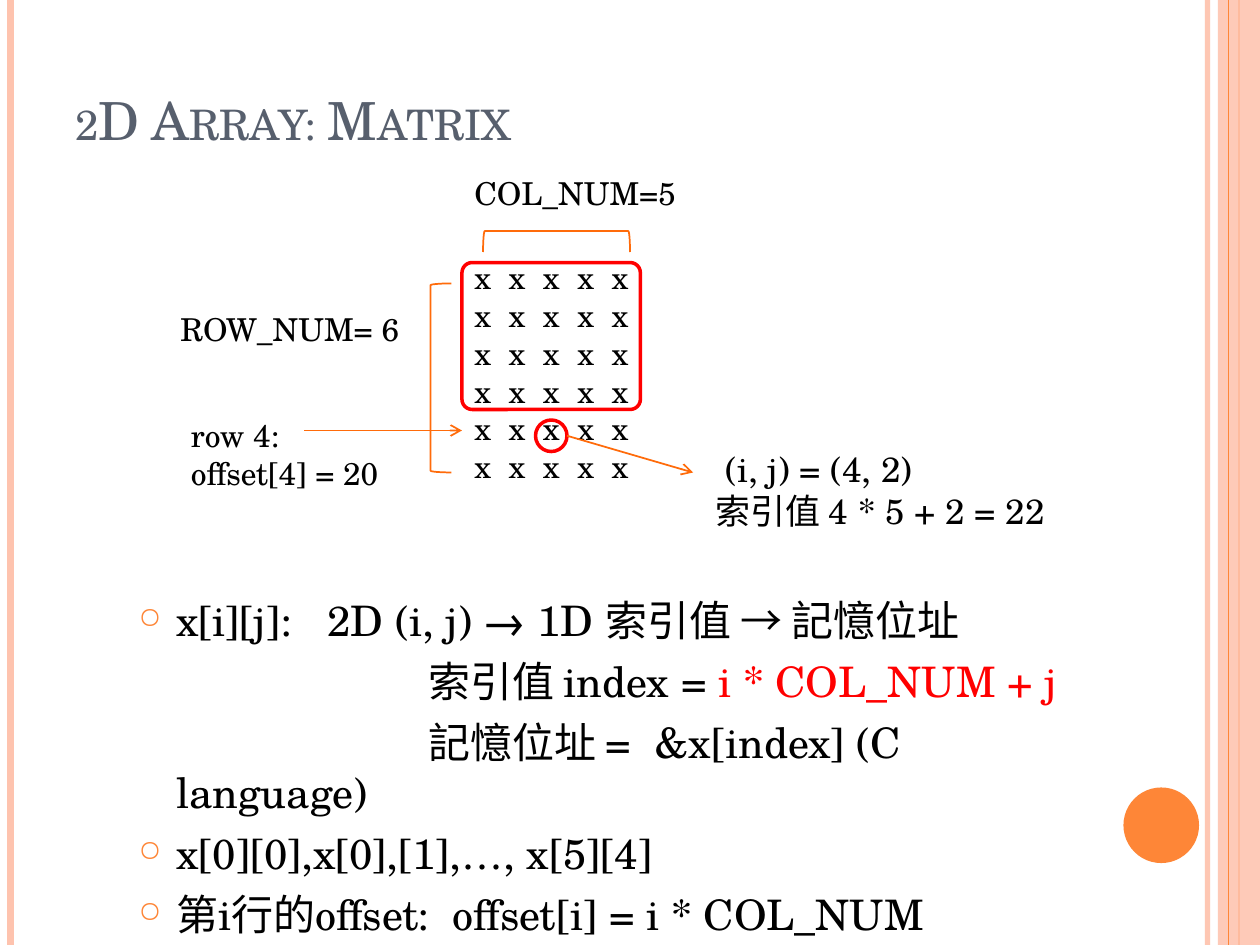
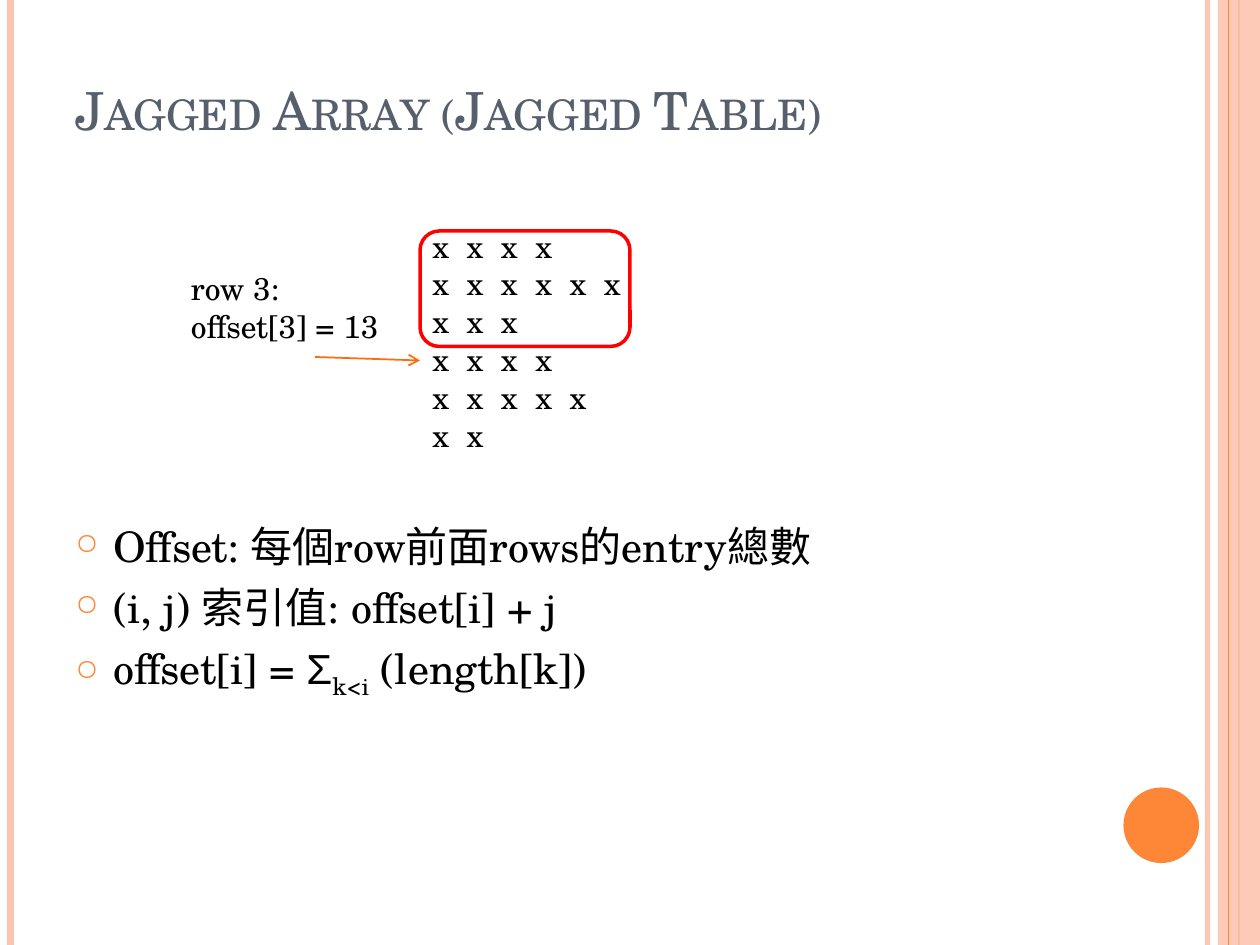
from pptx import Presentation
from pptx.dml.color import RGBColor
from pptx.enum.shapes import MSO_CONNECTOR, MSO_SHAPE
from pptx.enum.text import MSO_ANCHOR, PP_ALIGN
from pptx.oxml.ns import qn
from pptx.util import Pt
from lxml.etree import SubElement

FONT = "TeX Gyre Schola"
BLACK, RED, SLATE = "000000", "FF0000", "575F6D"
ORANGE, PEACH, DIAGRAM = "FE8637", "FEC3AE", "FF6B0A"
PAGE_WIDTH, PAGE_HEIGHT = 720, 540
HANGING = 21.6
COLUMN_PITCH = 19.6


def rgb(color):
    """Turn a hex string into a colour."""
    return RGBColor.from_string(color)


def set_opacity(fill_parent, percent):
    """Make the solid fill inside an XML element partly transparent."""
    color = fill_parent.find(qn("a:solidFill")).find(qn("a:srgbClr"))
    SubElement(color, qn("a:alpha"), val=str(percent * 1000))


def add_line(slide, start, end, color, width, opacity=100, arrow=False):
    """Draw a straight line, with an arrowhead at its end on request."""
    connector = slide.shapes.add_connector(
        MSO_CONNECTOR.STRAIGHT, *(Pt(value) for value in start + end))
    connector.line.color.rgb = rgb(color)
    connector.line.width = Pt(width)
    line = connector.line._get_or_add_ln()
    if opacity < 100:
        set_opacity(line, opacity)
    if arrow:
        SubElement(line, qn("a:tailEnd"), type="arrow")
    SubElement(connector._element.spPr, qn("a:effectLst"))


def add_filled(slide, kind, box, color, opacity=100):
    """Draw a filled shape without an outline."""
    shape = slide.shapes.add_shape(kind, *(Pt(value) for value in box))
    shape.shadow.inherit = False
    shape.fill.solid()
    shape.fill.fore_color.rgb = rgb(color)
    shape.line.fill.background()
    if opacity < 100:
        set_opacity(shape._element.spPr, opacity)


def add_outline(slide, kind, box, color, width):
    """Draw an unfilled shape and return it."""
    shape = slide.shapes.add_shape(kind, *(Pt(value) for value in box))
    shape.shadow.inherit = False
    shape.fill.background()
    shape.line.color.rgb = rgb(color)
    shape.line.width = Pt(width)
    return shape


def format_run(run, size, color=BLACK, font=FONT, baseline=0):
    """Set the font of a run; baseline is a percentage."""
    run.font.name = font
    run.font.size = Pt(size)
    run.font.color.rgb = rgb(color)
    if baseline:
        run._r.get_or_add_rPr().set("baseline", str(baseline * 1000))


def add_frame(slide, box):
    """Add a wrapping text box and return its text frame."""
    frame = slide.shapes.add_textbox(*(Pt(value) for value in box)).text_frame
    frame.word_wrap = True
    return frame


def add_label(slide, box, text, size=18):
    """Add plain text, one paragraph a line, and return its paragraphs."""
    frame = add_frame(slide, box)
    frame.text = text
    for paragraph in frame.paragraphs:
        paragraph.alignment = PP_ALIGN.LEFT
        for run in paragraph.runs:
            format_run(run, size)
    return frame.paragraphs


def add_matrix(slide, box, row_lengths):
    """Write rows of x in columns set by tab stops."""
    rows = "\n".join("\t".join("x" * length) for length in row_lengths)
    for paragraph, length in zip(add_label(slide, box, rows), row_lengths):
        stops = SubElement(paragraph._p.get_or_add_pPr(), qn("a:tabLst"))
        for column in range(1, length):
            SubElement(stops, qn("a:tab"), algn="l",
                       pos=str(Pt(COLUMN_PITCH * column)))


def add_title(slide, bottom, text):
    """Add the small-caps title that stands on the given bottom edge."""
    top = 21.6
    frame = add_frame(slide, (36, top, 588, bottom - top))
    frame.vertical_anchor = MSO_ANCHOR.BOTTOM
    frame.text = text
    run = frame.paragraphs[0].runs[0]
    format_run(run, 30, SLATE)
    run._r.get_or_add_rPr().set("cap", "small")


def add_bullet(properties):
    """Give paragraph properties the round orange bullet."""
    color = SubElement(properties, qn("a:buClr"))
    SubElement(color, qn("a:srgbClr"), val=ORANGE)
    SubElement(properties, qn("a:buSzPct"), val="70000")
    SubElement(properties, qn("a:buChar"), char="○")


def add_body(slide, box, items):
    """Add body paragraphs, each a first-line indent and its runs."""
    frame = add_frame(slide, box)
    for number, (indent, runs) in enumerate(items):
        paragraph = frame.add_paragraph() if number else frame.paragraphs[0]
        paragraph.space_before = Pt(6)
        properties = paragraph._p.get_or_add_pPr()
        properties.set("marL", str(Pt(HANGING)))
        properties.set("indent", str(Pt(indent)))
        if indent < 0:
            add_bullet(properties)
        for text, style in runs:
            run = paragraph.add_run()
            run.text = text
            format_run(run, 24, **style)


def bullet(*runs):
    """Describe a bulleted paragraph."""
    return -HANGING, runs


def continuation(*runs):
    """Describe an unbulleted paragraph whose first line is set in."""
    return 144, runs


def add_slide(presentation):
    """Add a blank slide with the side bands and the disc."""
    slide = presentation.slides.add_slide(presentation.slide_layouts[6])

    def side_line(x, color, width, opacity=100):
        add_line(slide, (x, 0), (x, PAGE_HEIGHT), color, width, opacity)

    side_line(690, PEACH, 3, 93)
    side_line(6, PEACH, 4.5)
    side_line(708, ORANGE, 1.5)
    add_filled(slide, MSO_SHAPE.RECTANGLE, (696, 0, 24, PAGE_HEIGHT), PEACH, 87)
    side_line(702, ORANGE, 0.75)
    add_filled(slide, MSO_SHAPE.OVAL, (642, 450, 43.2, 43.2), ORANGE)
    return slide


def add_matrix_slide(presentation):
    """Build the slide on the rectangular array."""
    slide = add_slide(presentation)
    add_title(slide, 90, "2D Array: Matrix")
    add_body(slide, (72, 336, 552, 173.5), [
        bullet(("x[i][j]: \t2D (i, j) → 1D 索引值 → 記憶位址", {})),
        continuation(("索引值 index = ", {}),
                     ("i * COL_NUM + j", {"color": RED})),
        continuation(("記憶位址 =  &x[index] (C language)", {})),
        bullet(("x[0][0],x[0],[1],…, x[5][4]", {})),
        bullet(("第i行的offset:  offset[i] = i * COL_NUM", {})),
    ])
    add_matrix(slide, (264, 144, 156, 160), [5] * 6)
    add_outline(slide, MSO_SHAPE.LEFT_BRACKET, (246, 162, 12, 108), DIAGRAM, 1)
    add_label(slide, (96, 173.5, 162, 29), "ROW_NUM= 6")
    add_outline(slide, MSO_SHAPE.OVAL, (306, 240, 18, 18), RED, 2)
    add_line(slide, (324, 249), (396, 270), DIAGRAM, 1, arrow=True)
    column_bracket = add_outline(
        slide, MSO_SHAPE.LEFT_BRACKET, (312, 96, 12, 84), DIAGRAM, 1)
    column_bracket.rotation = 90
    add_label(slide, (264, 96, 132, 29), "COL_NUM=5")
    add_label(slide, (402, 252, 204, 55.5),
              " (i, j) = (4, 2)\n索引值 4 * 5 + 2 = 22", 20)
    rows_before = add_outline(
        slide, MSO_SHAPE.ROUNDED_RECTANGLE, (264, 150, 102, 84), RED, 2)
    rows_before.adjustments[0] = 0.07
    add_line(slide, (174, 246), (264, 246), DIAGRAM, 1, arrow=True)
    add_label(slide, (102, 234, 138, 51), "row 4:\noffset[4] = 20")


def add_jagged_slide(presentation):
    """Build the slide on the jagged array."""
    slide = add_slide(presentation)
    add_outline(
        slide, MSO_SHAPE.ROUNDED_RECTANGLE, (240, 132, 120, 66), RED, 2)
    add_title(slide, 84.2, "Jagged Array (Jagged Table)")
    add_body(slide, (36, 294, 588, 216), [
        bullet(("Offset: 每個row前面rows的entry總數", {})),
        bullet(("(i, j) 索引值: offset[i] + j", {})),
        bullet(("offset[i] = ", {}), ("Σ", {"font": "Arial"}),
               ("k<i", {"baseline": -25}), (" (length[k])", {})),
    ])
    add_matrix(slide, (240, 126, 186, 160), [4, 6, 3, 4, 5, 2])
    add_line(slide, (180, 204), (240, 206), DIAGRAM, 1, arrow=True)
    add_label(slide, (102, 150, 132, 51), "row 3:\noffset[3] = 13")


def main():
    """Build and save the presentation."""
    presentation = Presentation()
    presentation.slide_width = Pt(PAGE_WIDTH)
    presentation.slide_height = Pt(PAGE_HEIGHT)
    add_matrix_slide(presentation)
    add_jagged_slide(presentation)
    presentation.save("out.pptx")


main()
